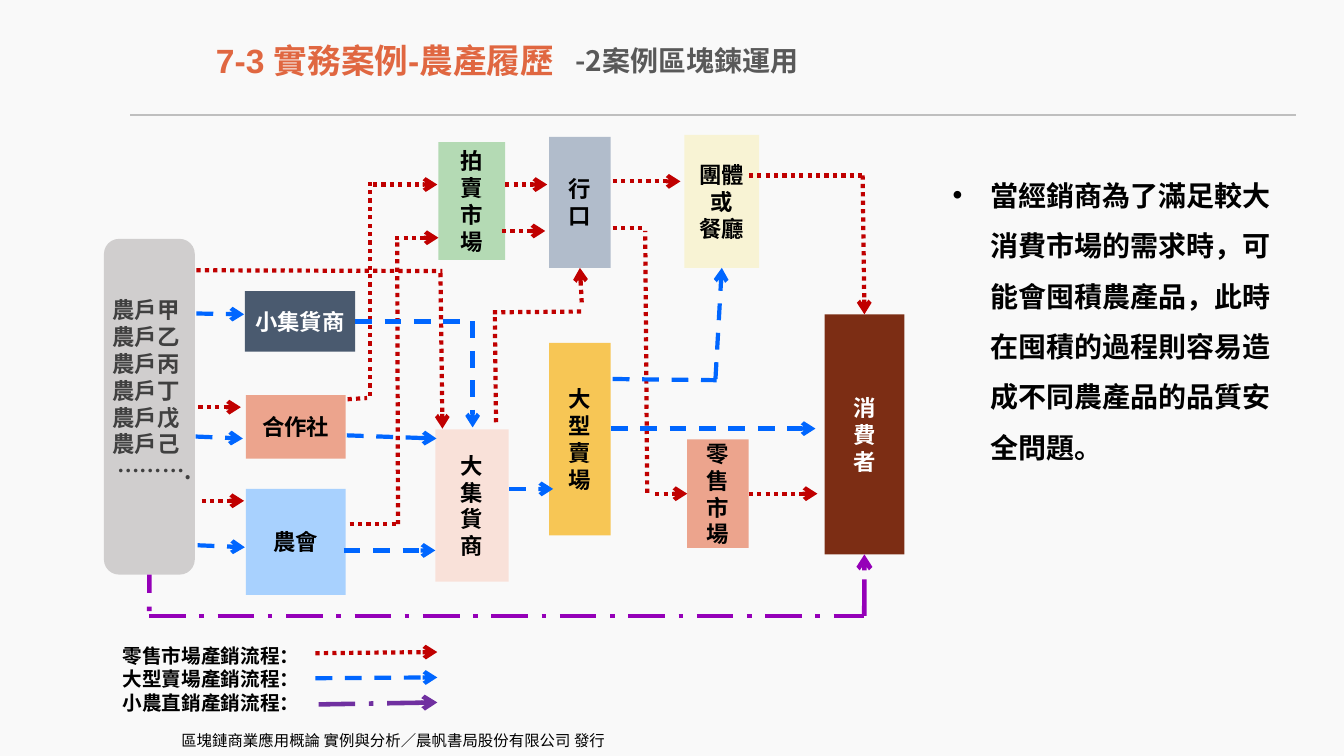
"""Build a slide on how a farm-produce blockchain maps sales channels."""
from lxml.etree import SubElement
from pptx import Presentation
from pptx.dml.color import RGBColor
from pptx.enum.dml import MSO_LINE
from pptx.enum.shapes import MSO_CONNECTOR, MSO_SHAPE
from pptx.enum.text import MSO_ANCHOR, MSO_AUTO_SIZE, PP_ALIGN
from pptx.oxml.ns import qn
from pptx.util import Cm, Pt

SANS = "Noto Sans CJK SC"
SANS_TC = "Noto Sans CJK TC"
PAPER = RGBColor(0xF9, 0xF9, 0xF9)
BLACK = RGBColor(0x00, 0x00, 0x00)
WHITE = RGBColor(0xFF, 0xFF, 0xFF)
CHARCOAL = RGBColor(0x40, 0x40, 0x40)
GREY = RGBColor(0x59, 0x59, 0x59)
RULE = RGBColor(0xBF, 0xBF, 0xBF)
SILVER = RGBColor(0xD0, 0xCE, 0xCE)
ORANGE = RGBColor(0xE0, 0x67, 0x41)
SALMON = RGBColor(0xEC, 0xA4, 0x8D)
SKY = RGBColor(0xA8, 0xD1, 0xFE)
MINT = RGBColor(0xB4, 0xDA, 0xB4)
STEEL = RGBColor(0xB1, 0xBC, 0xCB)
CREAM = RGBColor(0xF8, 0xF3, 0xD4)
BLUSH = RGBColor(0xF9, 0xE1, 0xD9)
AMBER = RGBColor(0xF7, 0xC6, 0x55)
SLATE = RGBColor(0x4A, 0x5A, 0x6F)
BROWN = RGBColor(0x7C, 0x2D, 0x14)
RED = RGBColor(0xC0, 0x00, 0x00)
BLUE = RGBColor(0x00, 0x66, 0xFF)
PURPLE = RGBColor(0x95, 0x00, 0xB8)
VIOLET = RGBColor(0x70, 0x30, 0xA0)


def place(shape, left, top, width, height):
    shape.left, shape.top = Cm(left), Cm(top)
    shape.width, shape.height = Cm(width), Cm(height)


def write(shape, text, size=16, color=BLACK, font=SANS, east=SANS, bold=True,
          align=PP_ALIGN.LEFT, anchor=MSO_ANCHOR.TOP, leading=1.2):
    frame = shape.text_frame
    frame.word_wrap = True
    frame.auto_size = MSO_AUTO_SIZE.NONE
    frame.vertical_anchor = anchor
    for index, line in enumerate(text.split("\n")):
        para = frame.add_paragraph() if index else frame.paragraphs[0]
        para.alignment = align
        para.line_spacing = Pt(size * leading)
        para.space_before = Pt(0)
        span = para.add_run()
        span.text = line
        span.font.size = Pt(size)
        span.font.bold = bold
        span.font.name = font
        span.font.color.rgb = color
        SubElement(span.font._element, qn("a:ea")).set("typeface", east)


deck = Presentation()
deck.slide_width, deck.slide_height = Cm(33.87), Cm(19.05)
page = deck.slides.add_slide(deck.slide_layouts[1])
page.background.fill.solid()
page.background.fill.fore_color.rgb = PAPER

title, body = page.placeholders
place(title, 2.36, 0.3, 14.68, 2.44)
write(title, "7-3 實務案例-農產履歷", size=24, color=ORANGE, font="Arial",
      east=SANS_TC, align=PP_ALIGN.CENTER, anchor=MSO_ANCHOR.MIDDLE)
place(body, 23.75, 3.94, 8.92, 7.95)
write(body, "當經銷商為了滿足較大消費市場的需求時，可能會囤積農產品，"
      "此時在囤積的過程則容易造成不同農產品的品質安全問題。", size=20, leading=1.8)
bullet = body.text_frame.paragraphs[0]._p.get_or_add_pPr()
bullet.set("marL", str(Cm(0.95)))
bullet.set("indent", str(-Cm(0.95)))
SubElement(bullet, qn("a:buFont")).set("typeface", "Arial")
SubElement(bullet, qn("a:buChar")).set("char", "•")

nodes = {}
for name, text, fill, color, left, top, width, height in [
    ("農戶", "", SILVER, CHARCOAL, 2.62, 6.02, 2.29, 8.46),
    ("合作社", "合作社", SALMON, BLACK, 6.2, 9.96, 2.51, 1.6),
    ("農會", "農會", SKY, BLACK, 6.2, 12.32, 2.51, 2.67),
    ("拍賣市場", "拍\n賣\n市\n場", MINT, BLACK, 11.05, 3.58, 1.68, 2.97),
    ("行口", "行\n口", STEEL, BLACK, 13.84, 3.45, 1.55, 3.3),
    ("團體", "團體或\n餐廳", CREAM, BLACK, 17.25, 3.4, 1.88, 3.35),
    ("零售市場", "零售市場", SALMON, BLACK, 17.32, 11.07, 1.55, 2.74),
    ("大集貨商", "大\n集\n貨\n商", BLUSH, BLACK, 10.97, 10.82, 1.85, 3.84),
    ("大型賣場", "大\n型\n賣\n場", AMBER, BLACK, 13.84, 8.64, 1.55, 4.85),
    ("小集貨商", "小集貨商", SLATE, WHITE, 6.17, 7.34, 2.78, 1.52),
    ("消費者", "消\n費\n者", BROWN, WHITE, 20.78, 7.92, 2.01, 6.05),
]:
    outline = MSO_SHAPE.RECTANGLE if text else MSO_SHAPE.ROUNDED_RECTANGLE
    box = page.shapes.add_shape(outline, 0, 0, 0, 0)
    place(box, left, top, width, height)
    box.shadow.inherit = False
    box.fill.solid()
    box.fill.fore_color.rgb = fill
    box.line.fill.background()
    if text:
        write(box, text, color=color, align=PP_ALIGN.CENTER, anchor=MSO_ANCHOR.MIDDLE)
    nodes[name] = box

for text, left, top, width, height, style in [
    ("區塊鏈商業應用概論 實例與分析／晨帆書局股份有限公司 發行", 4.32, 18.31, 11.71, 0.74,
     dict(size=11, font=SANS_TC, east=SANS_TC, bold=False)),
    ("-2案例區塊鍊運用", 14.25, 0.97, 6.22, 1.12, dict(size=20, color=GREY)),
    ("農戶甲\n農戶乙\n農戶丙\n農戶丁\n農戶戊\n農戶己\n……….", 2.59, 7.34, 2.62, 5.89,
     dict(color=CHARCOAL)),
    ("零售市場產銷流程：\n大型賣場產銷流程：\n小農直銷產銷流程：", 2.84, 16.1, 5.11, 2.06,
     dict(size=14)),
]:
    box = page.shapes.add_textbox(0, 0, 0, 0)
    place(box, left, top, width, height)
    write(box, text, **style)
    if text.startswith("農戶"):
        box.text_frame.paragraphs[-1].alignment = PP_ALIGN.CENTER

for color, weight, dash, arrow, routes in [
    (RULE, 1.5, MSO_LINE.SOLID, False, [((3.28, 2.9), (32.66, 2.9))]),
    (VIOLET, 3.25, MSO_LINE.LONG_DASH_DOT, True, [((8.03, 17.75), (11.02, 17.7))]),
    (PURPLE, 3.25, MSO_LINE.LONG_DASH_DOT, False, [((3.76, 15.52), (21.78, 15.52))]),
    (PURPLE, 3.25, MSO_LINE.LONG_DASH_DOT, True, [((21.78, 15.52), ("消費者", 2))]),
    (PURPLE, 3.25, MSO_LINE.DASH_DOT, False, [(("農戶", 2), (3.76, 15.49))]),
    (RED, 3, MSO_LINE.ROUND_DOT, False, [
        ((4.95, 6.81), (11.15, 6.83)),
        ((12.5, 10.64), (12.47, 7.92)),
        ((12.42, 7.87), (14.66, 7.85)),
        ((8.81, 13.21), (10.06, 13.21)),
        ((10.03, 13.21), (10.01, 6.02)),
        ((8.76, 10.06), (9.25, 10.03)),
        ((9.32, 9.98), (9.32, 4.57)),
        ((18.87, 4.42), (21.74, 4.42)),
        ((15.44, 5.74), (16.26, 5.74)),
        ((16.31, 12.42), (16.26, 5.82)),
    ]),
    (RED, 3, MSO_LINE.ROUND_DOT, True, [
        ((7.95, 16.46), (11.02, 16.43)),
        ((5, 10.26), (6.07, 10.26)),
        ((5.08, 12.62), (6.15, 12.62)),
        ((9.96, 5.99), (11.05, 5.99)),
        ((9.4, 4.65), (11.02, 4.65)),
        ((12.73, 4.65), (13.79, 4.65)),
        ((12.65, 5.82), (13.74, 5.82)),
        ((15.44, 4.57), (17.15, 4.57)),
        ((21.74, 4.42), ("消費者", 0)),
        (("零售市場", 3), (20.6, 12.44)),
        ((16.51, 12.44), ("零售市場", 1)),
        ((11.1, 6.88), (11.15, 10.8)),
        ((14.66, 7.62), ("行口", 2)),
    ]),
    (BLUE, 3, MSO_LINE.DASH, False, [
        (("小集貨商", 3), (11.86, 8.1)),
        ((15.44, 9.55), (18.06, 9.58)),
    ]),
    (BLUE, 3, MSO_LINE.DASH, True, [
        ((7.95, 17.09), (11.02, 17.07)),
        ((4.95, 7.9), (6.15, 7.92)),
        ((4.93, 11), (6.12, 11.05)),
        ((4.98, 13.74), (6.17, 13.79)),
        ((8.66, 13.87), (10.97, 13.87)),
        ((8.74, 10.97), (11, 11.05)),
        ((11.91, 8.1), (11.91, 10.77)),
        ((18.03, 9.55), ("團體", 2)),
        ((12.83, 12.32), (13.94, 12.32)),
        ((15.39, 10.8), (20.55, 10.8)),
    ]),
]:
    for start, end in routes:
        first, last = [(0, 0) if point[0] in nodes else point for point in (start, end)]
        flow = page.shapes.add_connector(
            MSO_CONNECTOR.STRAIGHT, Cm(first[0]), Cm(first[1]), Cm(last[0]), Cm(last[1]))
        if start[0] in nodes:
            flow.begin_connect(nodes[start[0]], start[1])
        if end[0] in nodes:
            flow.end_connect(nodes[end[0]], end[1])
        flow.line.color.rgb = color
        flow.line.width = Pt(weight)
        flow.line.dash_style = dash
        properties = flow._element.spPr
        if arrow:
            SubElement(properties.find(qn("a:ln")), qn("a:tailEnd")).set("type", "arrow")
        SubElement(properties, qn("a:effectLst"))

deck.save("out.pptx")
